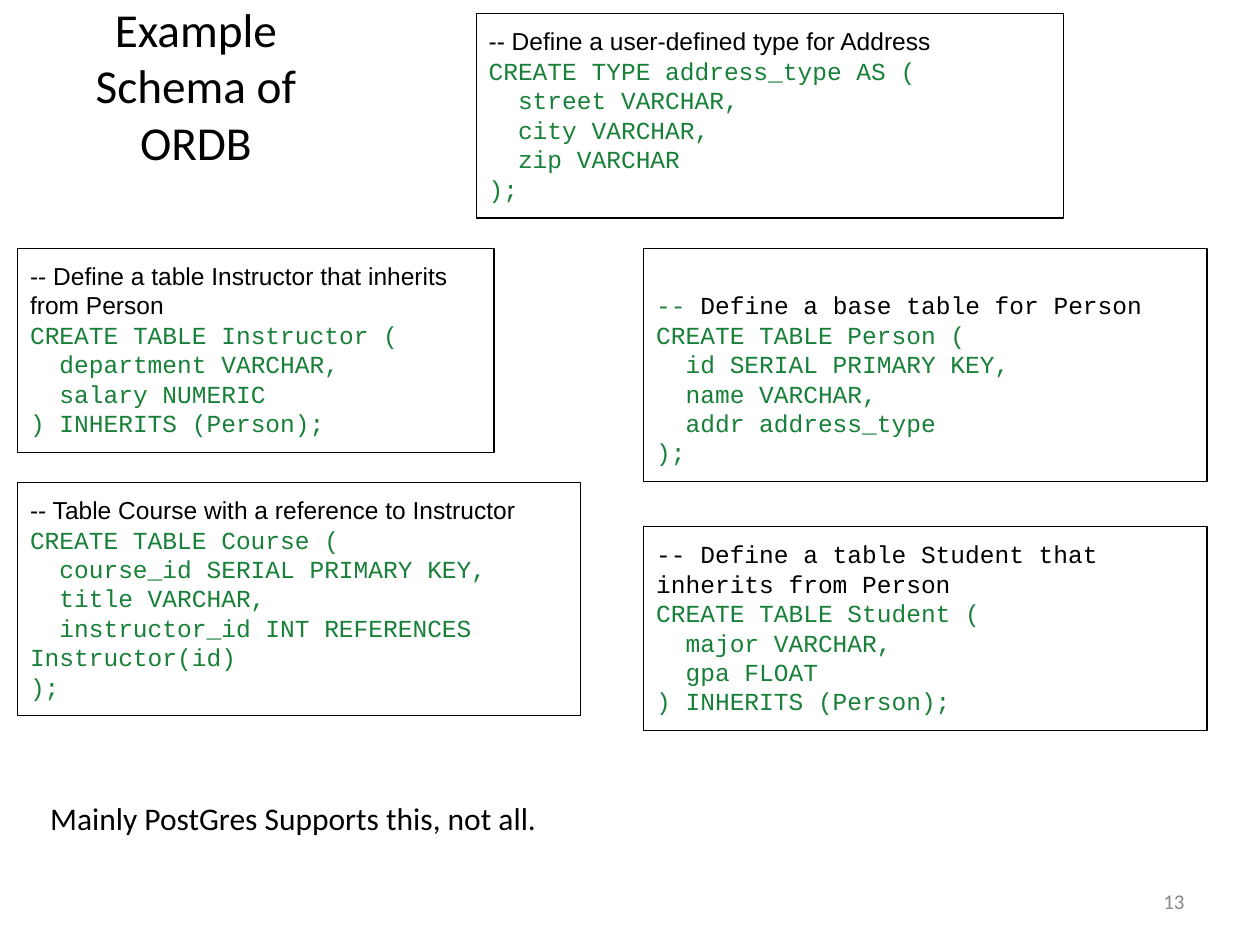
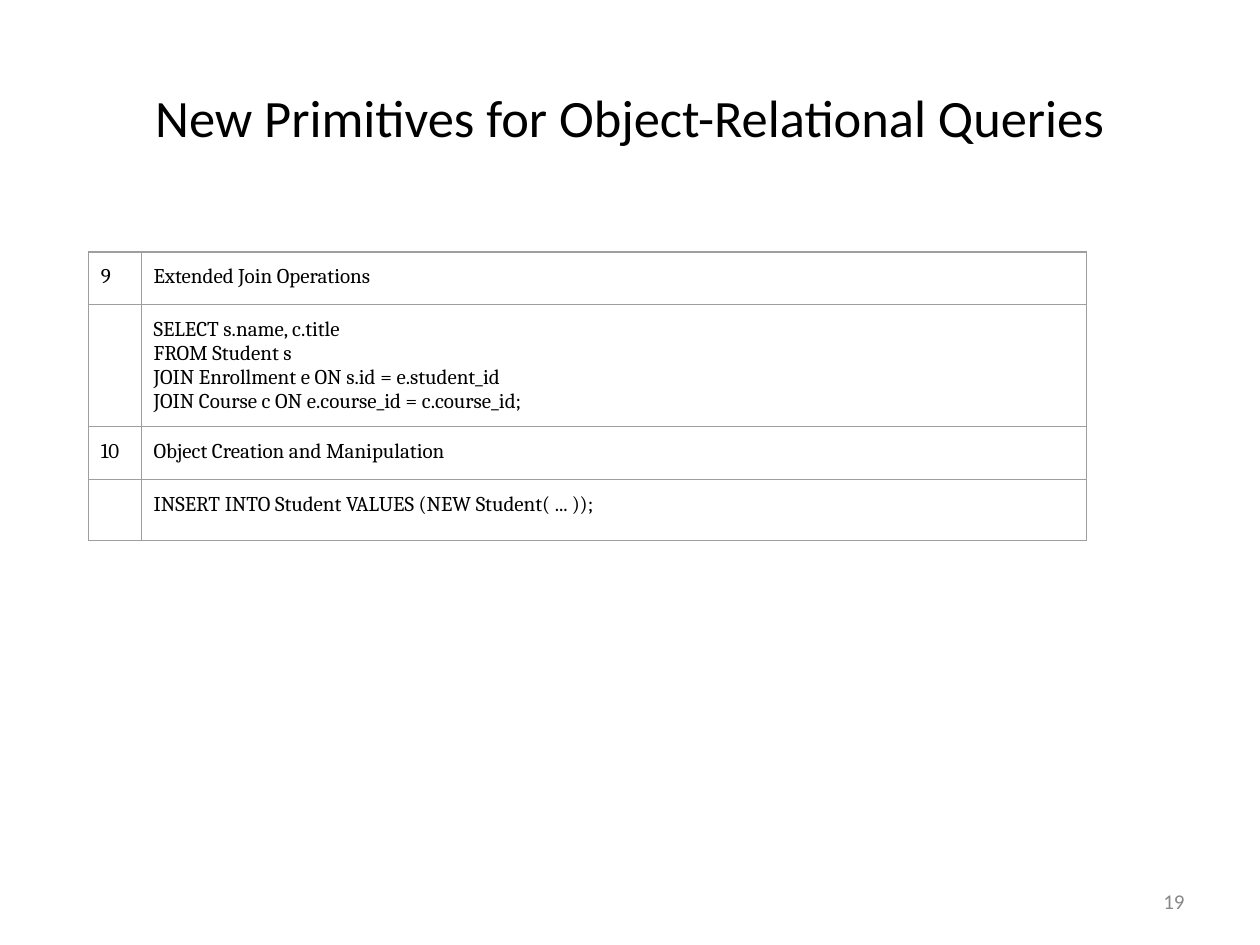
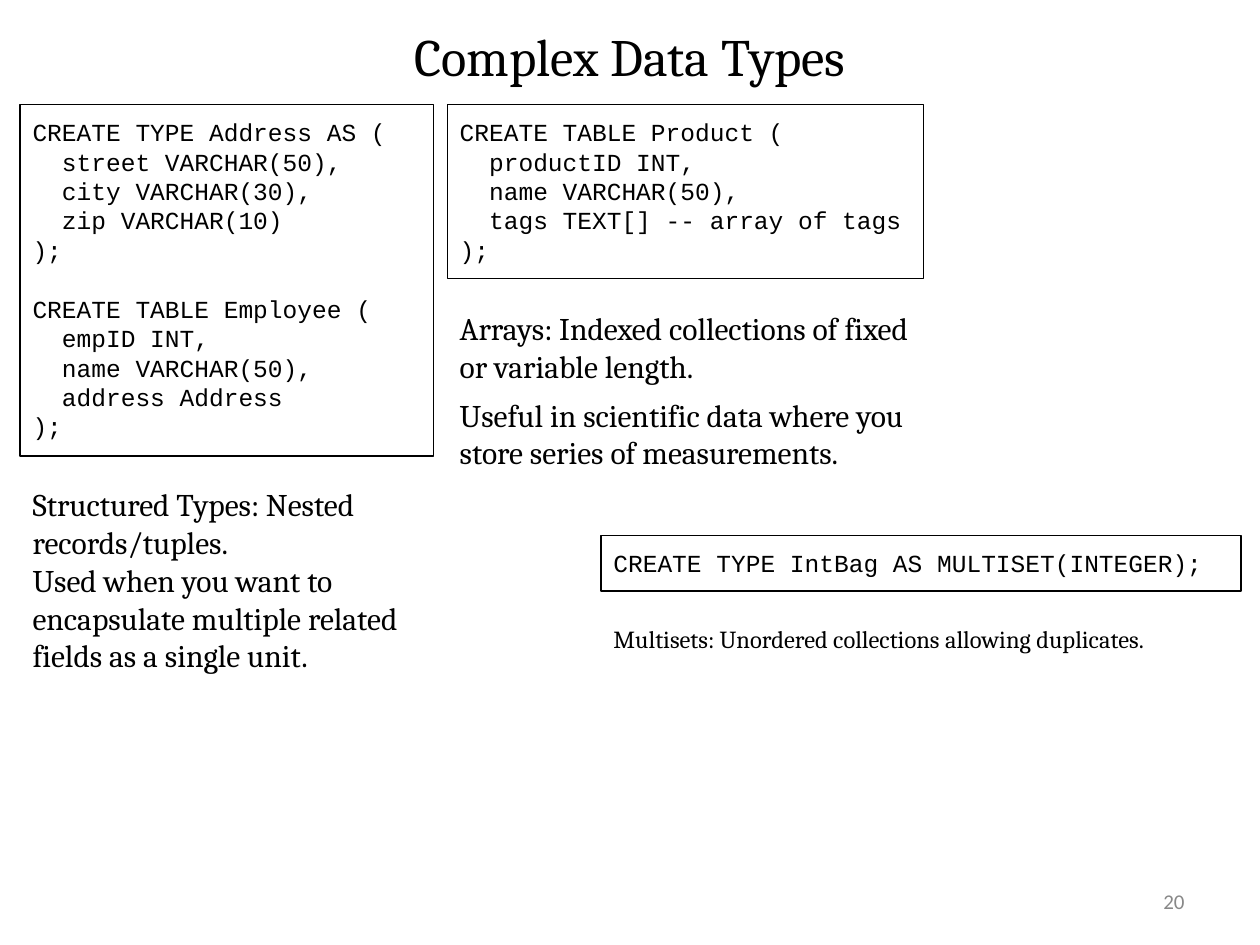
from dataclasses import dataclass

from lxml import etree
from pptx import Presentation
from pptx.dml.color import RGBColor as Rgb
from pptx.enum.shapes import MSO_SHAPE as Preset
from pptx.enum.text import MSO_ANCHOR as Anchor, MSO_AUTO_SIZE as AutoSize, PP_ALIGN as Align
from pptx.oxml.ns import qn
from pptx.util import Inches, Pt


@dataclass(frozen=True)
class Theme:
    ink = Rgb(0, 0, 0)
    code = Rgb.from_string("188038")
    number = Rgb.from_string("888888")
    border = "9E9E9E"
    sans, plain, serif, mono = "Calibri", "Arial", "Cambria", "Courier New"
    title, narrow_title, body, listing, small = Pt(30), Pt(27), Pt(18), Pt(14), Pt(12)
    hairline = Pt(0.75)
    inset = Inches(0.1)


theme = Theme()
CELL = Inches(0.1)
COLUMNS, ROWS = 100, 75

deck = Presentation()
deck.slide_width, deck.slide_height = COLUMNS * CELL, ROWS * CELL


def grid(*cells):
    return [round(cell * CELL) for cell in cells]


def write(frame, lines, font, size, color=theme.ink, align=Align.LEFT, anchor=Anchor.TOP):
    frame.word_wrap = True
    frame.auto_size = AutoSize.NONE
    frame.vertical_anchor = anchor
    frame.margin_left = frame.margin_right = theme.inset
    frame.margin_top = frame.margin_bottom = theme.inset
    frame.text = "\n".join(lines)
    for paragraph in frame.paragraphs:
        paragraph.alignment = align
        paragraph.font.name, paragraph.font.size = font, size
        paragraph.font.color.rgb = color
    return frame


headings = [
    ("Example Schema of ORDB", theme.sans, theme.narrow_title, (5, 0.5, 21.1, 12.5), "13"),
    ("New Primitives for Object-Relational Queries", theme.sans, theme.title, (5, 3, 90, 12.5), "19"),
    ("Complex Data Types", theme.serif, theme.title, (5, 0.5, 90, 7.8), "20"),
]
slides = []
for heading, font, size, place, number in headings:
    slide = deck.slides.add_slide(deck.slide_layouts[5])
    title = slide.shapes.title
    title.left, title.top, title.width, title.height = grid(*place)
    write(title.text_frame, [heading], font, size, align=Align.CENTER, anchor=Anchor.MIDDLE)
    page = slide.shapes.add_textbox(*grid(71.7, 69.5, 23.3, 4))
    write(page.text_frame, [number], theme.sans, theme.small, theme.number, Align.RIGHT, Anchor.MIDDLE)
    slides.append(slide)
schema, primitives, complex_types = slides

listings = [
    (schema, (1.4, 38.3, 44.7, 18.5), theme.plain, [
        "-- Table Course with a reference to Instructor",
        "CREATE TABLE Course (",
        "  course_id SERIAL PRIMARY KEY,",
        "  title VARCHAR,",
        "  instructor_id INT REFERENCES Instructor(id)",
        ");"]),
    (schema, (37.8, 1.1, 46.6, 16.2), theme.plain, [
        "-- Define a user-defined type for Address",
        "CREATE TYPE address_type AS (",
        "  street VARCHAR,",
        "  city VARCHAR,",
        "  zip VARCHAR",
        ");"]),
    (schema, (51.1, 19.7, 44.7, 18.5), theme.mono, [
        "-- Define a base table for Person",
        "CREATE TABLE Person (",
        "  id SERIAL PRIMARY KEY,",
        "  name VARCHAR,",
        "  addr address_type",
        ");"]),
    (schema, (51.1, 41.8, 44.7, 16.2), theme.mono, [
        "-- Define a table Student that inherits from Person",
        "CREATE TABLE Student (",
        "  major VARCHAR,",
        "  gpa FLOAT",
        ") INHERITS (Person);"]),
    (schema, (1.4, 19.7, 37.8, 16.2), theme.plain, [
        "-- Define a table Instructor that inherits from Person",
        "CREATE TABLE Instructor (",
        "  department VARCHAR,",
        "  salary NUMERIC",
        ") INHERITS (Person);"]),
    (complex_types, (1.6, 8.3, 32.8, 27.9), theme.mono, [
        "CREATE TYPE Address AS (",
        "  street VARCHAR(50),",
        "  city VARCHAR(30),",
        "  zip VARCHAR(10)",
        ");",
        "CREATE TABLE Employee (",
        "  empID INT,",
        "  name VARCHAR(50),",
        "  address Address",
        ");"]),
    (complex_types, (35.5, 8.3, 37.8, 13.8), theme.mono, [
        "CREATE TABLE Product (",
        "  productID INT,",
        "  name VARCHAR(50),",
        "  tags TEXT[] -- array of tags",
        ");"]),
    (complex_types, (47.7, 42.5, 50.8, 4.4), theme.mono, [
        "CREATE TYPE IntBag AS MULTISET(INTEGER);"]),
]
blank_line = Pt(16.85)
for slide, place, comment_font, code in listings:
    card = slide.shapes.add_shape(Preset.RECTANGLE, *grid(*place))
    card.shadow.inherit = False
    card.fill.background()
    card.line.color.rgb, card.line.width = theme.ink, theme.hairline
    frame = write(card.text_frame, code, theme.mono, theme.listing)
    comment, *statements = frame.paragraphs
    if slide is schema:
        comment.font.name = comment_font
        for statement in statements:
            statement.font.color.rgb = theme.code
    if "base table" in comment.text:
        frame.margin_top = theme.inset + blank_line
        dashes, description = comment.text[:3], comment.text[3:]
        comment.text = dashes
        comment.runs[0].font.color.rgb = theme.code
        comment.add_run().text = description
    for statement in statements:
        if statement.text.startswith("CREATE TABLE Employee"):
            statement.space_before = blank_line

notes = [
    (schema, (3, 62.4, 56.7, 7.1), theme.sans, theme.body,
     ["Mainly PostGres Supports this, not all."]),
    (complex_types, (1.6, 37.5, 32.8, 17.2), theme.serif, theme.body,
     ["Structured Types: Nested records/tuples.\vUsed when you want to encapsulate "
      "multiple related fields as a single unit."]),
    (complex_types, (35.5, 23.5, 37.8, 18.1), theme.serif, theme.body,
     ["Arrays: Indexed collections of fixed or variable length.",
      "Useful in scientific data where you store series of measurements."]),
    (complex_types, (47.7, 48.2, 50.8, 4.4), theme.serif, theme.listing,
     ["Multisets: Unordered collections allowing duplicates."]),
]
for slide, place, font, size, lines in notes:
    note = slide.shapes.add_textbox(*grid(*place))
    first, *rest = write(note.text_frame, lines, font, size).paragraphs
    for paragraph in rest:
        paragraph.space_before = Pt(6.4)
    if size == theme.listing:
        first.line_spacing = 1.15

features = [
    ("9", ["Extended Join Operations"], 4.2),
    ("", ["SELECT s.name, c.title",
          "FROM Student s",
          "JOIN Enrollment e ON s.id = e.student_id",
          "JOIN Course c ON e.course_id = c.course_id;"], 9.6),
    ("10", ["Object Creation and Manipulation"], 4.2),
    ("", ["INSERT INTO Student VALUES (NEW Student( ... ));"], 4.8),
]
height = sum(feature[2] for feature in features)
table = primitives.shapes.add_table(len(features), 2, *grid(7, 20, 79.2, height)).table
table.first_row = table.horz_banding = False
table.columns[0].width, table.columns[1].width = grid(4.2, 75)
for row, (number, lines, row_height) in zip(table.rows, features):
    row.height, = grid(row_height)
    for cell, content in zip(row.cells, ([number], lines)):
        cell.margin_left = cell.margin_right = theme.inset
        cell.margin_top = cell.margin_bottom = theme.inset
        cell.text = "\n".join(content)
        for paragraph in cell.text_frame.paragraphs:
            paragraph.font.name, paragraph.font.size = theme.serif, theme.small
            paragraph.font.color.rgb = theme.ink
        properties = cell._tc.get_or_add_tcPr()
        for side in ("a:lnL", "a:lnR", "a:lnT", "a:lnB"):
            edge = etree.SubElement(properties, qn(side), w=str(theme.hairline))
            paint = etree.SubElement(edge, qn("a:solidFill"))
            etree.SubElement(paint, qn("a:srgbClr"), val=theme.border)
        cell.fill.background()

deck.save("out.pptx")
